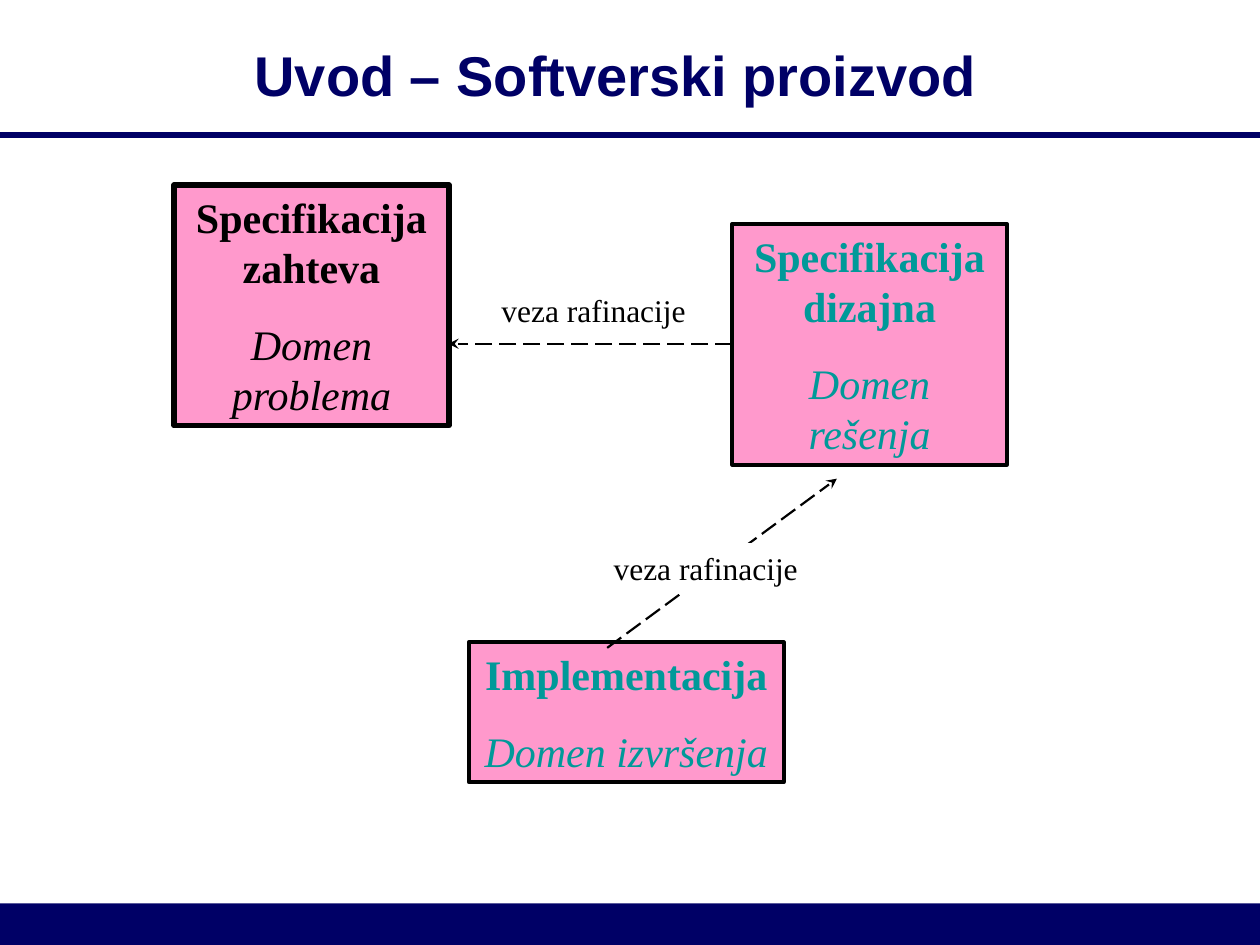
from lxml.etree import SubElement
from pptx import Presentation
from pptx.dml.color import RGBColor
from pptx.enum.dml import MSO_LINE
from pptx.enum.shapes import MSO_CONNECTOR, MSO_SHAPE
from pptx.enum.text import MSO_ANCHOR, PP_ALIGN
from pptx.oxml.ns import qn
from pptx.util import Cm, Pt

COLORS = {
    "navy": "000066",
    "pink": "FF99CC",
    "teal": "009999",
    "black": "000000",
    "white": "FFFFFF",
}
SLIDE_WIDTH, SLIDE_HEIGHT = 25.4, 19.05
FOOTER_HEIGHT = 0.84


def color(name):
    return RGBColor.from_string(COLORS[name])


def style_text(paragraph, size, ink, face="Times New Roman", bold=False,
               italic=False, align=PP_ALIGN.CENTER):
    paragraph.alignment = align
    for run in paragraph.runs:
        font = run.font
        font.name, font.size = face, Pt(size)
        font.bold, font.italic = bold, italic
        font.color.rgb = color(ink)


def add_block(slide, left, top, width, height, fill, border=None):
    """Add a filled rectangle; border is the black outline width in points."""
    block = slide.shapes.add_shape(
        MSO_SHAPE.RECTANGLE, Cm(left), Cm(top), Cm(width), Cm(height))
    block.shadow.inherit = False
    block.fill.solid()
    block.fill.fore_color.rgb = color(fill)
    if border:
        block.line.color.rgb = color("black")
        block.line.width = Pt(border)
    else:
        block.line.fill.background()
    block.text_frame.word_wrap = True
    block.text_frame.vertical_anchor = MSO_ANCHOR.TOP
    return block


def add_line(slide, start, end, ink, weight):
    line = slide.shapes.add_connector(
        MSO_CONNECTOR.STRAIGHT, *(Cm(value) for value in start + end))
    line.line.color.rgb = color(ink)
    line.line.width = Pt(weight)
    SubElement(line._element.spPr, qn("a:effectLst"))
    return line


def add_refinement(slide, start, end):
    """Add a dashed arrow from a product to the one it refines."""
    arrow = add_line(slide, start, end, "black", 1.25)
    arrow.line.dash_style = MSO_LINE.LONG_DASH
    SubElement(arrow.line._get_or_add_ln(), qn("a:tailEnd"), type="stealth")


def add_label(slide, left, top):
    label = add_block(slide, left, top, 4.29, 1.02, "white")
    caption = label.text_frame.paragraphs[0]
    caption.text = "veza rafinacije"
    style_text(caption, 18, "black", align=PP_ALIGN.LEFT)


def add_product(slide, place, name, domain, ink, border):
    """Add a box with a product name and the domain it belongs to."""
    frame = add_block(slide, *place, "pink", border).text_frame
    frame.text = f"{name}\n{domain}"
    heading, subheading = frame.paragraphs
    style_text(heading, 24, ink, bold=True)
    style_text(subheading, 24, ink, italic=True)
    subheading.space_before = Pt(15)


def add_title(slide, wording):
    title = slide.shapes.add_textbox(Cm(1.91), Cm(0.43), Cm(21.01), Cm(2.11))
    frame = title.text_frame
    frame.word_wrap = True
    frame.vertical_anchor = MSO_ANCHOR.MIDDLE
    frame.text = wording
    style_text(frame.paragraphs[0], 32, "navy", face="Arial", bold=True)


def main():
    presentation = Presentation()
    presentation.slide_width = Cm(SLIDE_WIDTH)
    presentation.slide_height = Cm(SLIDE_HEIGHT)
    slide = presentation.slides.add_slide(presentation.slide_layouts[6])

    add_block(slide, 0, SLIDE_HEIGHT - FOOTER_HEIGHT, SLIDE_WIDTH,
              FOOTER_HEIGHT, "navy")
    add_line(slide, (0, 2.72), (SLIDE_WIDTH, 2.72), "navy", 3)
    add_title(slide, "Uvod – Softverski proizvod")

    products = [
        ((3.51, 3.73, 5.54, 4.85), "Specifikacija zahteva",
         "Domen problema", "black", 3.25),
        ((14.76, 4.52, 5.54, 4.85), "Specifikacija dizajna",
         "Domen rešenja", "teal", 2.25),
        ((9.45, 12.95, 6.35, 2.82), "Implementacija",
         "Domen izvršenja", "teal", 2.25),
    ]
    for product in products:
        add_product(slide, *product)

    add_refinement(slide, (14.76, 6.93), (9.04, 6.93))
    add_refinement(slide, (12.24, 13.06), (16.87, 9.65))
    add_label(slide, 12.12, 10.95)
    add_label(slide, 9.86, 5.74)

    presentation.save("out.pptx")


if __name__ == "__main__":
    main()
